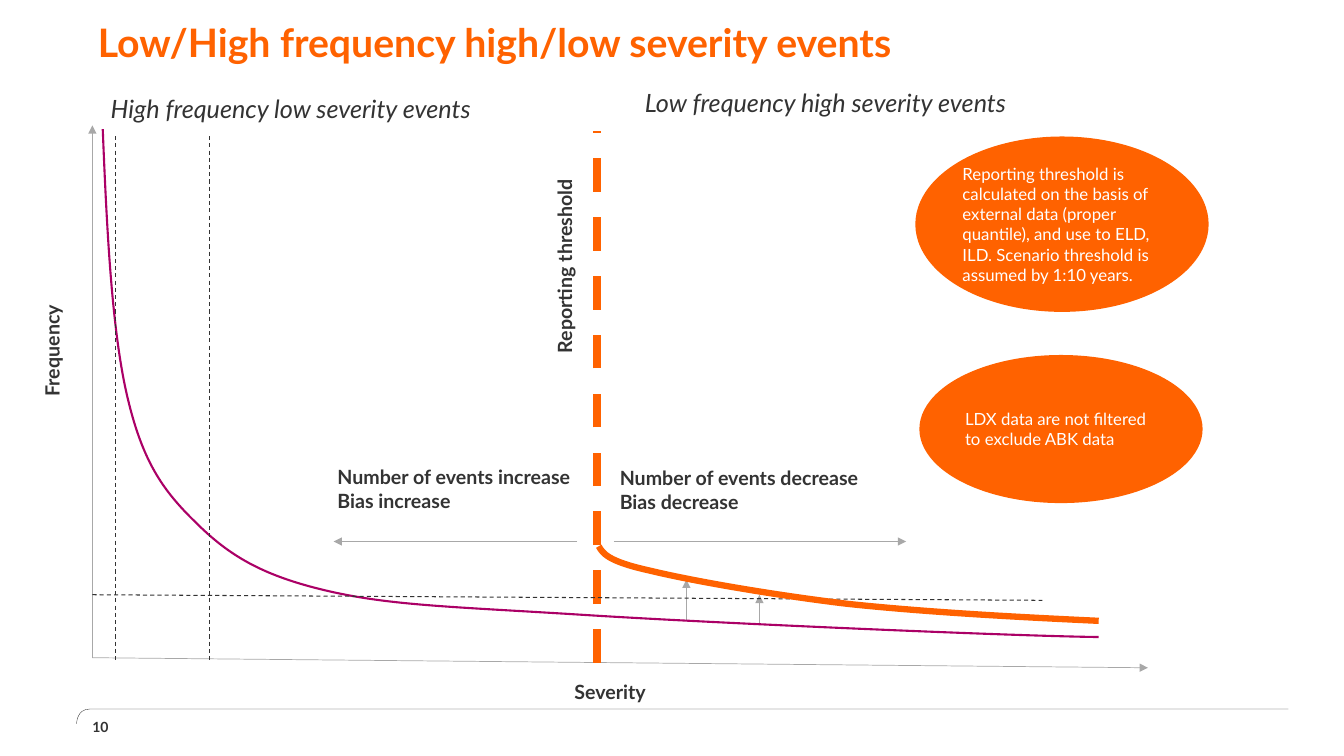
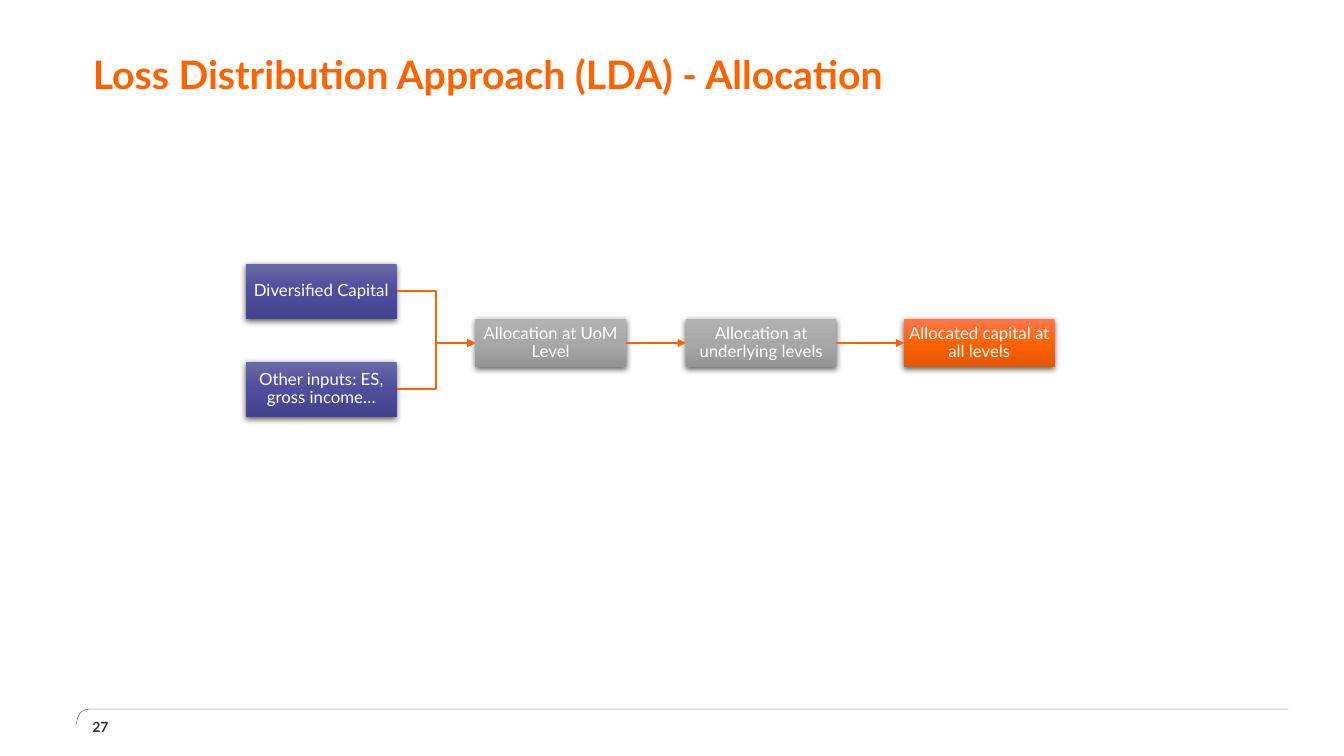
from dataclasses import dataclass

from pptx import Presentation
from pptx.dml.color import RGBColor
from pptx.enum.dml import MSO_LINE
from pptx.enum.shapes import MSO_CONNECTOR, MSO_SHAPE
from pptx.enum.text import MSO_ANCHOR, PP_ALIGN
from pptx.oxml import parse_xml
from pptx.oxml.ns import nsdecls, qn
from pptx.util import Pt

STRAIGHT, ELBOW = MSO_CONNECTOR.STRAIGHT, MSO_CONNECTOR.ELBOW
RECT, OVAL = MSO_SHAPE.RECTANGLE, MSO_SHAPE.OVAL
TOP, MIDDLE = MSO_ANCHOR.TOP, MSO_ANCHOR.MIDDLE
LEFT, CENTER = PP_ALIGN.LEFT, PP_ALIGN.CENTER
RIGHT_SITE, LEFT_SITE = 3, 1


@dataclass(frozen=True)
class Theme:
    font: str = "Lato"
    orange: str = "FF6200"
    ink: str = "333333"
    grey: str = "A8A8A8"
    purple: str = "AB0066"
    white: str = "FFFFFF"
    indigo_fade: tuple = ("6968A5", "4F4D9D", "43428E")
    grey_fade: tuple = ("B2B2B2", "A8A8A8", "959595")
    orange_fade: tuple = ("FF774B", "FF6200", "E35700")
    title: int = 28
    heading: int = 18
    label: int = 14
    body: int = 12
    number: int = 10


T = Theme()
TIGHT = (3, 3, 3, 3)
ROOMY = (7.2, 3.6, 7.2, 3.6)
FLUSH = (0, 0, 0, 0)

FOOTER_RULE = [(920.2, 506.5), (64, 506.5), (64, 506.5), (64, 506.5),
               (54.7, 506.5), (54.7, 517), (54.7, 517)]

FREQUENCY_TITLE = ("Low/High frequency high/low severity events", 70, -0.7, "10")
HEADINGS = [
    ("High frequency low severity events", 72, 63.4),
    ("Low frequency high severity events", 453.6, 59),
]
LABELS = [
    (["Frequency"], (25.6, 116.8, 23, 169.5), LEFT, True),
    (["Reporting threshold"], (391.7, 113.4, 23, 142), LEFT, True),
    (["Severity"], (328.8, 482.8, 214, 23), CENTER, False),
    (["Number of events increase", "Bias increase"], (238, 329.3, 200, 40), LEFT, False),
    (["Number of events decrease", "Bias decrease"], (439.7, 329.8, 200, 40), LEFT, False),
]
ARROWS = [
    ((66, 469.8), (66, 89.5)),
    ((66, 469.8), (820, 477)),
    ((438.5, 386.8), (647.3, 386.8)),
    ((412.3, 386.8), (238.3, 386.8)),
    ((490.3, 443.5), (490.3, 414)),
    ((542.5, 446.4), (542.5, 424.8)),
]
GUIDES = [
    ((82.3, 97.2), (82.3, 473.8)),
    ((149.8, 97.2), (149.8, 473.8)),
    ((66, 424.8), (744.5, 428.8)),
]
THRESHOLD = ((426.6, 473.5), (426.6, 93.5))
LOSS_CURVE = [(73.4, 92.2), (76.3, 164.2), (79.9, 235.4), (90.7, 282.2),
              (101.5, 329), (115.9, 349.9), (139.7, 373),
              (163.4, 396.7), (187.2, 411.1), (233.3, 421.9),
              (279.4, 432.7), (324.7, 433.4), (416.9, 439.2),
              (508.3, 445), (722.9, 454.3), (784.8, 455)]
UPPER_CURVE = [(427.7, 390.2), (430.6, 395.3), (434.2, 401), (463.7, 407.5),
               (493.2, 414.7), (550.8, 424.8), (604.8, 431.3),
               (658.1, 437), (721.4, 440.6), (784.8, 443.5)]
NOTES = [
    ("Reporting threshold is calculated on the basis of external data (proper quantile), "
     "and use to ELD, ILD. Scenario threshold is assumed by 1:10 years.",
     (653.8, 97.5, 209.5, 125.3)),
    ("LDX data are not filtered to exclude ABK data", (656.7, 253.6, 202.3, 105.8)),
]

ALLOCATION_TITLE = ("Loss Distribution Approach (LDA) - Allocation", 66.4, 22.3, "27")
BOX_W = 107.5
STEPS = {
    "inputs": ("Other inputs: ES, gross income…", 175.8, 258.5, 39.3, T.indigo_fade),
    "capital": ("Diversified Capital", 175.8, 188.4, 39.3, T.indigo_fade),
    "uom": ("Allocation at UoM Level", 339.6, 228, 34, T.grey_fade),
    "underlying": ("Allocation at underlying levels", 490, 228, 34, T.grey_fade),
    "allocated": ("Allocated capital at all levels", 645.8, 228, 34, T.orange_fade),
}
FLOWS = [
    ("capital", "uom", ELBOW),
    ("inputs", "uom", ELBOW),
    ("uom", "underlying", STRAIGHT),
    ("underlying", "allocated", STRAIGHT),
]


def rgb(color):
    return RGBColor.from_string(color)


def pts(values):
    return [Pt(v) for v in values]


def write(shape, lines, size, color, bold=False, italic=False, align=LEFT,
          anchor=TOP, insets=TIGHT, spacing=None):
    tf = shape.text_frame
    tf.word_wrap = True
    tf.vertical_anchor = anchor
    tf.margin_left, tf.margin_top, tf.margin_right, tf.margin_bottom = pts(insets)
    tf.text = "\n".join(lines)
    for p in tf.paragraphs:
        p.alignment = align
        p.line_spacing = spacing
        f = p.font
        f.name, f.size, f.bold, f.italic = T.font, Pt(size), bold, italic
        f.color.rgb = rgb(color)
    return tf


def add_text(s, box, lines, size, color, **style):
    return write(s.shapes.add_textbox(*pts(box)), lines, size, color, **style)


def style_line(line, color, width):
    line.color.rgb = rgb(color)
    line.width = Pt(width)


def add_line(s, start, end, color, width, kind=STRAIGHT, dash=False, arrow=False):
    c = s.shapes.add_connector(kind, *pts(start + end))
    style_line(c.line, color, width)
    if dash:
        c.line.dash_style = MSO_LINE.DASH
    if arrow:
        c.line._get_or_add_ln().append(
            parse_xml(f'<a:tailEnd {nsdecls("a")} type="triangle"/>'))
    c._element.spPr.append(parse_xml(f'<a:effectLst {nsdecls("a")}/>'))
    return c


def add_curve(s, controls, color, width):
    start, *rest = [tuple(pts(q)) for q in controls]
    builder = s.shapes.build_freeform(*start)
    builder.add_line_segments(rest, close=False)
    sp = builder.convert_to_shape()
    sp.shadow.inherit = False
    sp.fill.background()
    style_line(sp.line, color, width)
    segments = list(sp._element.iter(qn("a:lnTo")))
    for i in range(0, len(segments), 3):
        curve = parse_xml(f'<a:cubicBezTo {nsdecls("a")}/>')
        segments[i].addprevious(curve)
        for segment in segments[i:i + 3]:
            curve.append(segment[0])
            segment.getparent().remove(segment)


def add_block(s, kind, box):
    sp = s.shapes.add_shape(kind, *pts(box))
    sp.shadow.inherit = False
    sp.line.fill.background()
    return sp


def add_step(s, text, x, y, h, fade):
    sp = add_block(s, RECT, (x, y, BOX_W, h))
    sp.fill.gradient()
    sp.fill.gradient_angle = 270
    stops = sp._element.spPr.gradFill.gsLst
    for stop in list(stops):
        stops.remove(stop)
    for i, color in enumerate(fade):
        stops.append(parse_xml(f'<a:gs {nsdecls("a")} pos="{i * 50000}">'
                               f'<a:srgbClr val="{color}"/></a:gs>'))
    sp._element.spPr.effectLst.append(parse_xml(
        f'<a:outerShdw {nsdecls("a")} blurRad="{Pt(4.5)}" dist="{Pt(1.5)}" dir="5400000" '
        'rotWithShape="0"><a:srgbClr val="000000"><a:alpha val="63000"/></a:srgbClr>'
        '</a:outerShdw>'))
    write(sp, [text], T.body, T.white, align=CENTER, anchor=MIDDLE, spacing=0.9)
    return sp


def new_slide(prs, title, x, y, number):
    s = prs.slides.add_slide(prs.slide_layouts[6])
    add_curve(s, FOOTER_RULE, T.ink, 0.25)
    add_text(s, (x, y, 825, 67), [title], T.title, T.orange, bold=True,
             anchor=MIDDLE, insets=FLUSH, spacing=Pt(28))
    add_text(s, (66, 512, 39, 15), [number], T.number, T.ink, bold=True,
             anchor=MIDDLE, insets=FLUSH)
    return s


def build_frequency(prs):
    s = new_slide(prs, *FREQUENCY_TITLE)
    for start, end in ARROWS:
        add_line(s, start, end, T.grey, 0.5, arrow=True)
    add_curve(s, LOSS_CURVE, T.purple, 1.5)
    add_line(s, *THRESHOLD, T.orange, 6, dash=True)
    for text, x, y in HEADINGS:
        add_text(s, (x, y, 303, 29), [text], T.heading, T.ink, italic=True, insets=ROOMY)
    for lines, box, align, upright in LABELS:
        tf = add_text(s, box, lines, T.label, T.ink, bold=True, align=align)
        if upright:
            tf._txBody.bodyPr.set("vert", "vert270")
    for start, end in GUIDES:
        add_line(s, start, end, T.ink, 0.75, dash=True)
    add_curve(s, UPPER_CURVE, T.orange, 4.5)
    for text, box in NOTES:
        sp = add_block(s, OVAL, box)
        sp.fill.solid()
        sp.fill.fore_color.rgb = rgb(T.orange)
        write(sp, [text], T.body, T.white, anchor=MIDDLE)


def build_allocation(prs):
    s = new_slide(prs, *ALLOCATION_TITLE)
    steps = {name: add_step(s, *step) for name, step in STEPS.items()}
    for source, target, kind in FLOWS:
        c = add_line(s, (0, 0), (0, 0), T.orange, 1.5, kind, arrow=True)
        c.begin_connect(steps[source], RIGHT_SITE)
        c.end_connect(steps[target], LEFT_SITE)


def main():
    prs = Presentation()
    prs.slide_width, prs.slide_height = Pt(960), Pt(540)
    build_frequency(prs)
    build_allocation(prs)
    prs.save("out.pptx")


if __name__ == "__main__":
    main()
